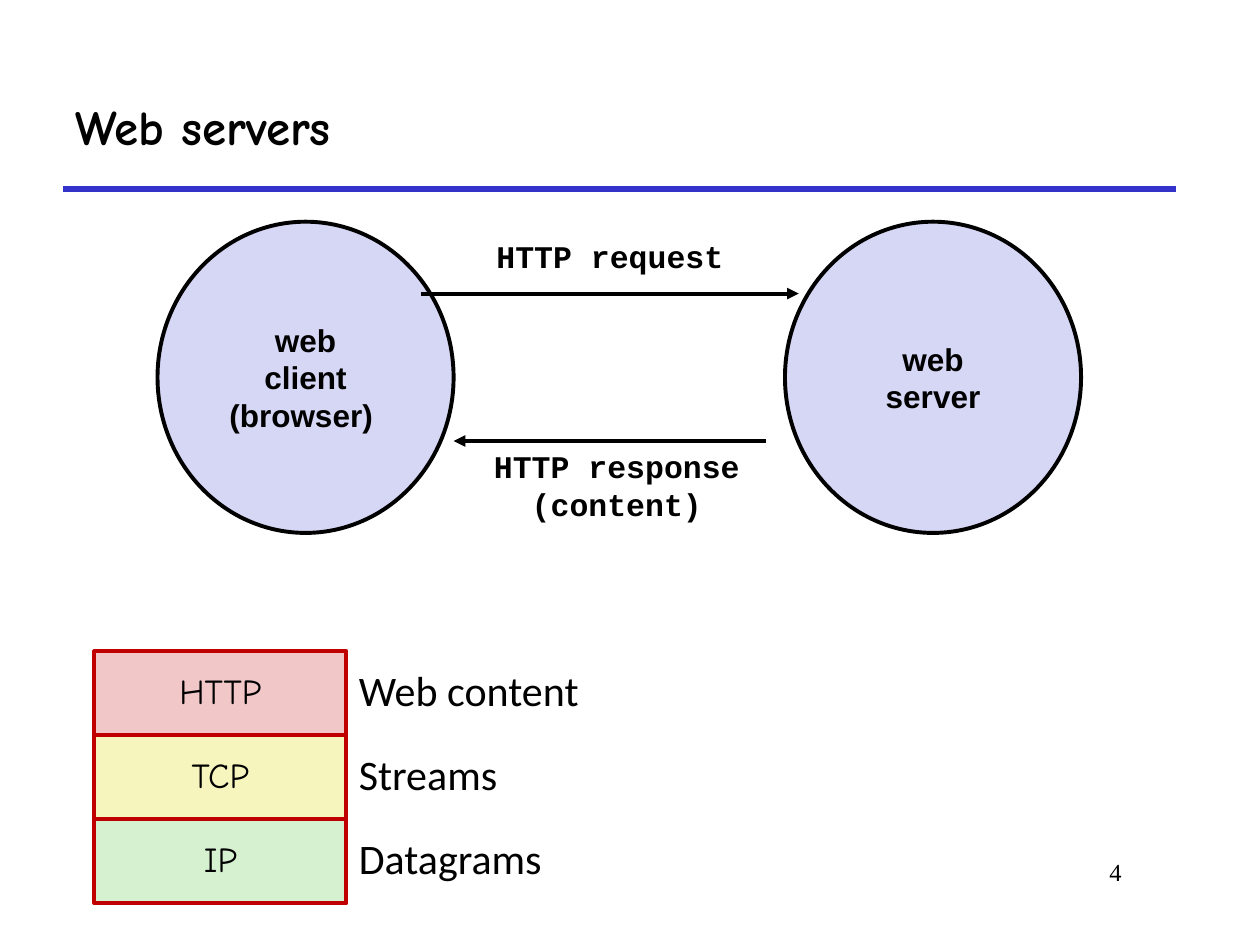
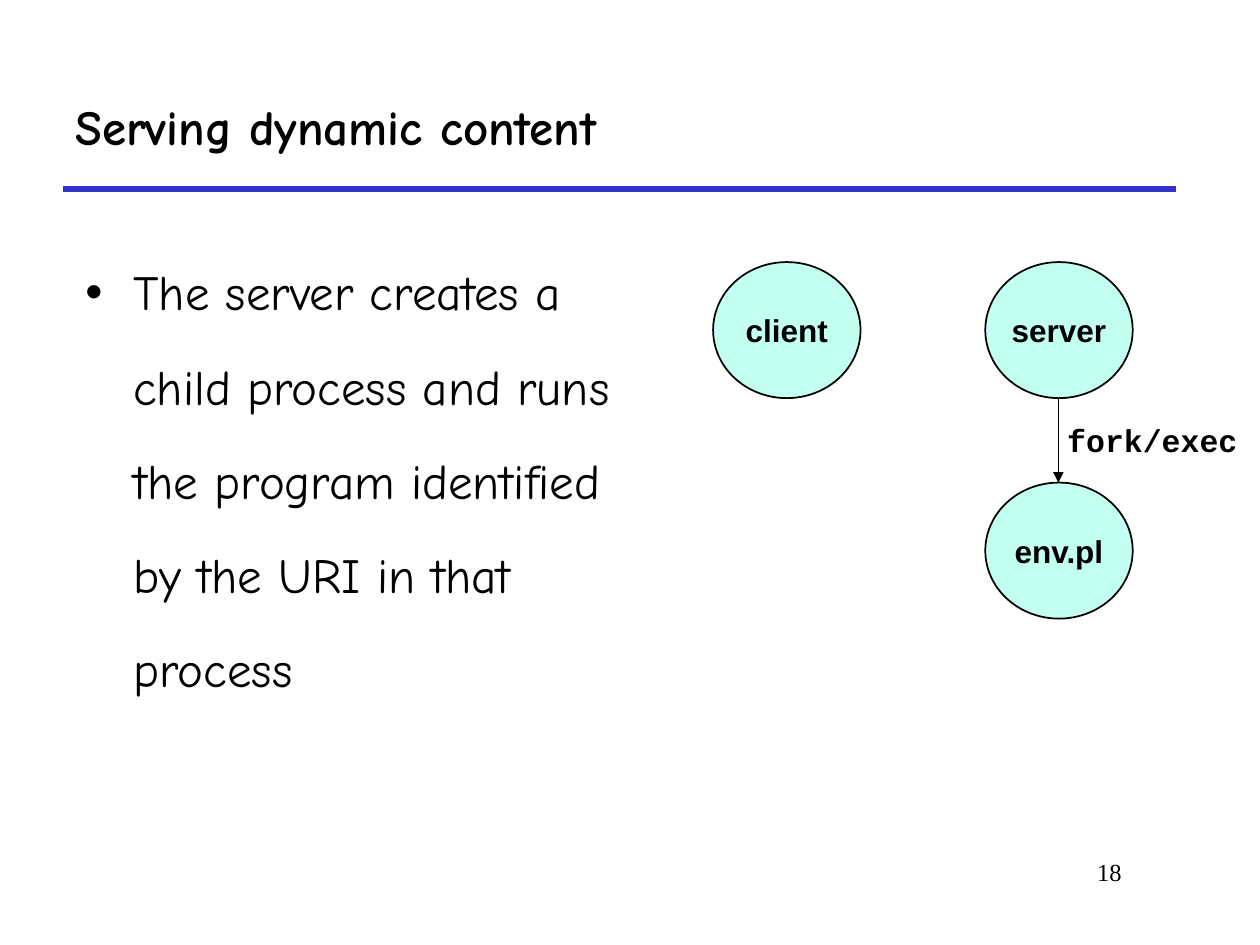
from lxml import etree
from pptx import Presentation
from pptx.dml.color import RGBColor
from pptx.enum.shapes import MSO_CONNECTOR, MSO_SHAPE
from pptx.enum.text import MSO_ANCHOR, PP_ALIGN
from pptx.oxml.ns import qn
from pptx.util import Inches, Pt

LEFT, CENTER, RIGHT = PP_ALIGN.LEFT, PP_ALIGN.CENTER, PP_ALIGN.RIGHT
TOP, MIDDLE = MSO_ANCHOR.TOP, MSO_ANCHOR.MIDDLE
OVAL, RECTANGLE = MSO_SHAPE.OVAL, MSO_SHAPE.RECTANGLE
STRAIGHT = MSO_CONNECTOR.STRAIGHT

COLORS = {
    "ink": "000000", "rule": "3333CC", "lavender": "D6D6F5", "mint": "C2FFF0",
    "layer_border": "C00000", "pink": "F1C7C7", "yellow": "F6F5BD", "green": "D5F1CF",
}
COLORS = {name: RGBColor.from_string(value) for name, value in COLORS.items()}

# Each style: font formats, alignment, anchor, wrapping, line spacing
STYLES = {
    "title": ({"name": "Comic Neue", "size": Pt(28), "bold": True}, LEFT, MIDDLE, True, 1.0),
    "body": ({"name": "Comic Neue", "size": Pt(28)}, LEFT, TOP, True, 1.6),
    "number": ({"name": "Times New Roman", "size": Pt(14)}, RIGHT, TOP, True, 1.0),
    "node": ({"name": "Arial", "size": Pt(18), "bold": True}, CENTER, MIDDLE, False, 1.0),
    "message": ({"name": "Courier New", "size": Pt(18), "bold": True}, CENTER, MIDDLE, False, 1.0),
    "layer": ({"name": "Comic Neue", "size": Pt(20)}, CENTER, MIDDLE, True, 0.9),
    "caption": ({"name": "Calibri", "size": Pt(24)}, LEFT, TOP, False, 0.9),
}


def add_box(page, area, text, style, preset=None, fill=None, border="ink", width=1):
    """Add a text box, or a filled preset shape, with one paragraph per line of text."""
    area = [Inches(length) for length in area]
    if preset is None:
        box = page.shapes.add_textbox(*area)
    else:
        box = page.shapes.add_shape(preset, *area)
        box.shadow.inherit = False
        box.fill.solid()
        box.fill.fore_color.rgb = COLORS[fill]
        box.line.color.rgb = COLORS[border]
        box.line.width = Pt(width)
    formats, alignment, anchor, wrap, spacing = STYLES[style]
    frame = box.text_frame
    frame.word_wrap = wrap
    frame.vertical_anchor = anchor
    for index, line in enumerate(text.split("\n")):
        para = frame.add_paragraph() if index else frame.paragraphs[0]
        para.alignment = alignment
        para.line_spacing = spacing
        span = para.add_run()
        span.text = line
        span.font.color.rgb = COLORS["ink"]
        for name, value in formats.items():
            setattr(span.font, name, value)
    return box


def add_line(page, start, end, width, color="ink", arrow=True):
    line = page.shapes.add_connector(STRAIGHT, *[Inches(length) for length in start + end])
    line.line.color.rgb = COLORS[color]
    line.line.width = Pt(width)
    if arrow:
        etree.SubElement(line.line._get_or_add_ln(), qn("a:tailEnd"), type="triangle")
    etree.SubElement(line._element.spPr, qn("a:effectLst"))


deck = Presentation()
deck.slide_width, deck.slide_height = Inches(10), Inches(7.5)

pages = []
for title, number in [("Web servers", "4"), ("Serving dynamic content", "18")]:
    page = deck.slides.add_slide(deck.slide_layouts[6])
    add_line(page, (0.5, 1.5), (9.33, 1.5), 3, "rule", arrow=False)
    add_box(page, (0.5, 0.5, 8.83, 1), title, "title")
    add_box(page, (7.58, 6.75, 1.42, 0.5), number, "number")
    pages.append(page)
servers_page, dynamic_page = pages

# Web servers: request and response between client and server
for left, label in [(1.25, "web\nclient\n(browser) "), (6.23, "web\nserver")]:
    add_box(servers_page, (left, 1.76, 2.35, 2.47), label, "node", OVAL, "lavender", width=2.25)
add_line(servers_page, (3.34, 2.33), (6.34, 2.33), 2.25)
add_line(servers_page, (6.08, 3.5), (3.6, 3.5), 2.25)
add_box(servers_page, (3.84, 1.83, 2, 0.4), "HTTP request", "message")
add_box(servers_page, (3.82, 3.5, 2.15, 0.7), "HTTP response\n(content)", "message")

# Web servers: protocol stack, top layer first
layers = [
    ("HTTP", "pink", "Web content"),
    ("TCP", "yellow", "Streams"),
    ("IP", "green", "Datagrams"),
]
layer_height = 2 / 3
for index, (protocol, fill, caption) in enumerate(layers):
    top = 5.17 + index * layer_height
    add_box(servers_page, (0.75, top, 2, layer_height), protocol, "layer",
            RECTANGLE, fill, "layer_border", 2.25)
    add_box(servers_page, (2.75, top + 0.1, 2, 0.46), caption, "caption")

# Serving dynamic content: explanation and process diagram
explanation = add_box(
    dynamic_page, (0.58, 1.75, 4.75, 4.92),
    "The server creates a child process and runs the program identified by the URI in that process",
    "body")
properties = explanation.text_frame.paragraphs[0]._p.get_or_add_pPr()
properties.set("marL", str(Inches(0.38)))
properties.set("indent", str(Inches(-0.38)))
etree.SubElement(properties, qn("a:buFont"), typeface="Arial")
etree.SubElement(properties, qn("a:buChar"), char="•")

for left, top, label in [(5.66, 2.08, "client"), (7.82, 2.08, "server"), (7.82, 3.83, "env.pl")]:
    add_box(dynamic_page, (left, top, 1.17, 1.08), label, "node", OVAL, "mint")
add_line(dynamic_page, (8.4, 3.16), (8.4, 3.83), 1)
add_box(dynamic_page, (8.37, 3.29, 1.55, 0.4), "fork/exec", "message")

deck.save("out.pptx")
